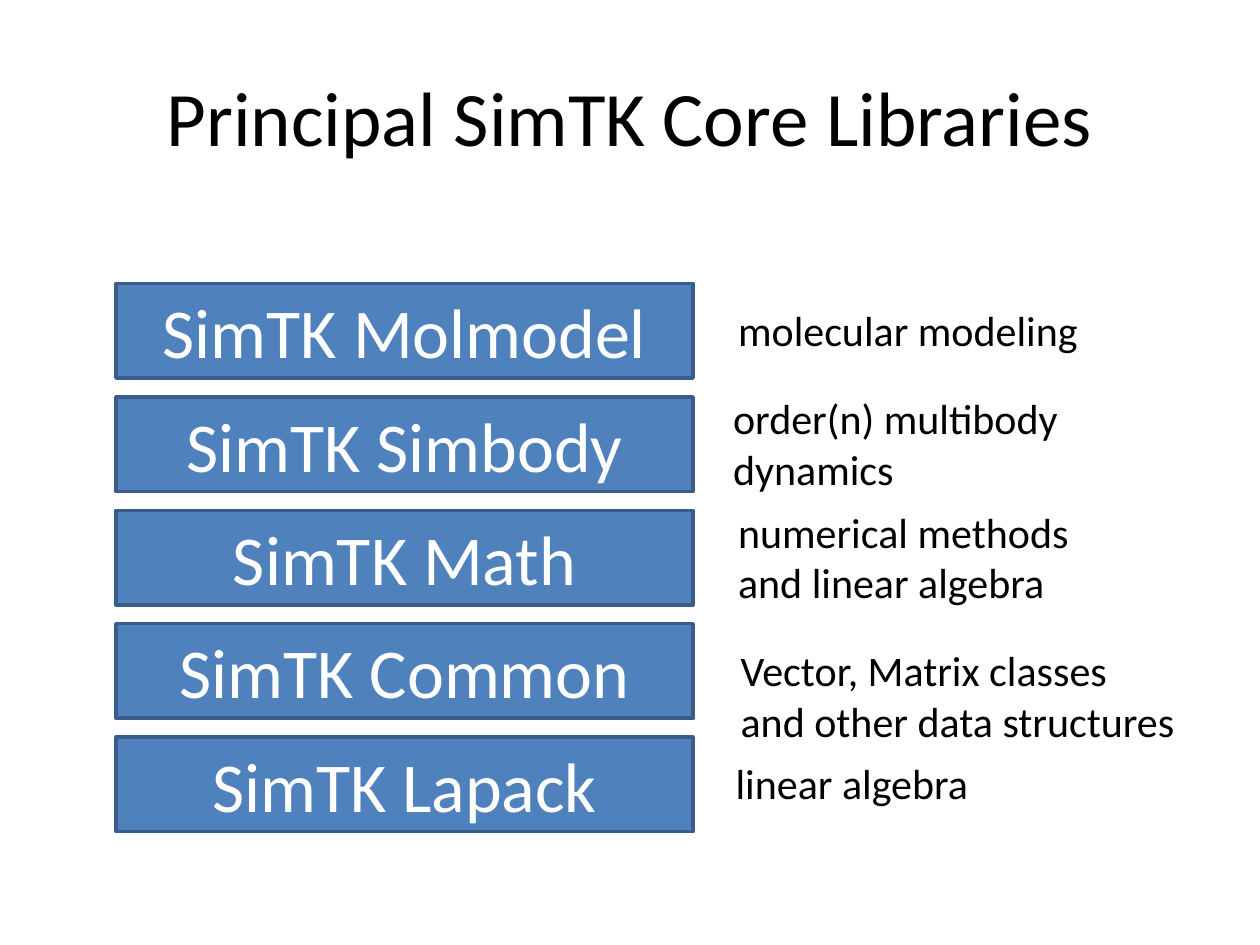
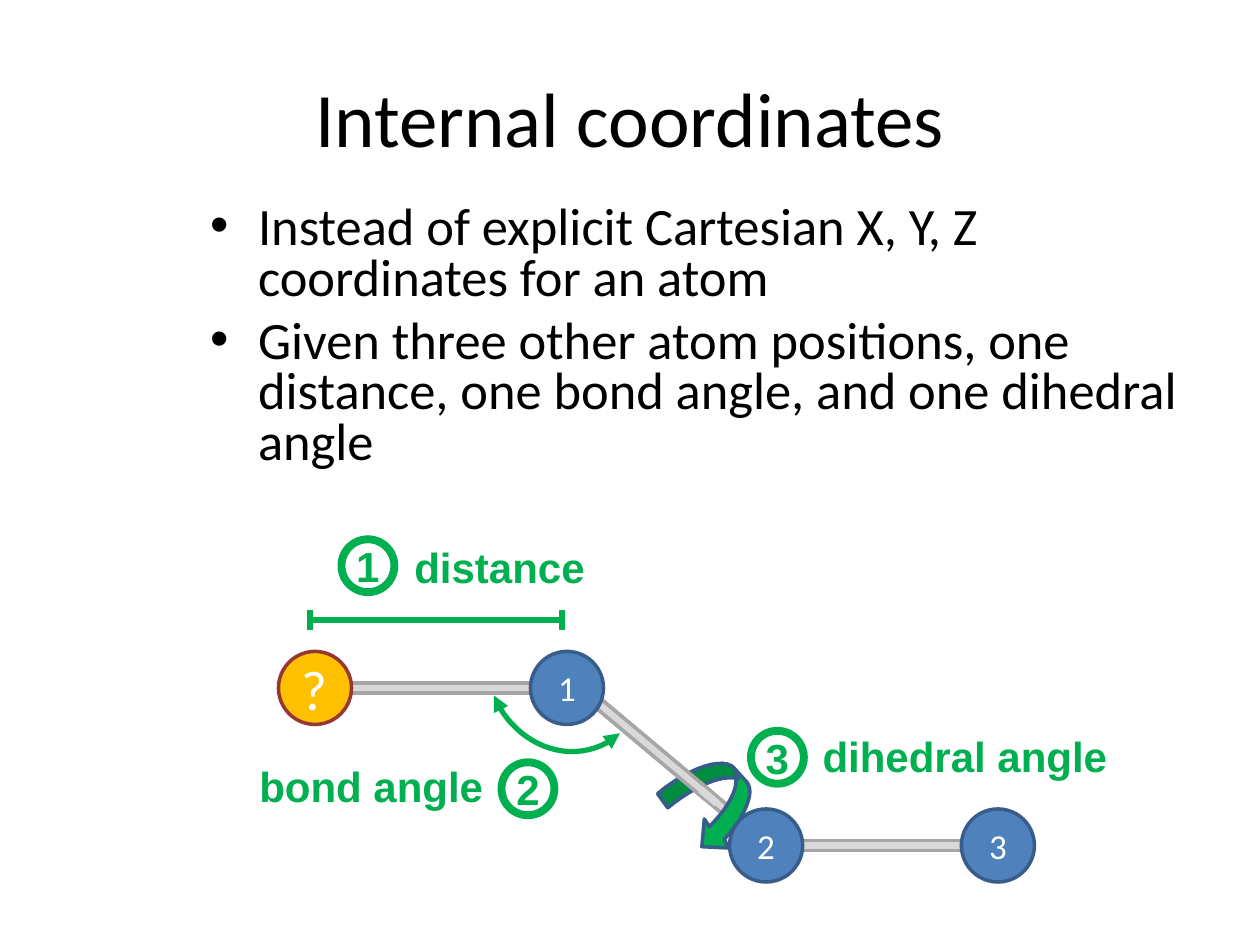
from lxml import etree
from pptx import Presentation
from pptx.dml.color import RGBColor
from pptx.enum.shapes import MSO_CONNECTOR, MSO_SHAPE
from pptx.enum.text import MSO_ANCHOR, PP_ALIGN
from pptx.oxml.ns import qn
from pptx.util import Inches, Pt

BLACK = RGBColor(0x00, 0x00, 0x00)
WHITE = RGBColor(0xFF, 0xFF, 0xFF)
BLUE = RGBColor(0x4F, 0x81, 0xBD)
NAVY = RGBColor(0x38, 0x5D, 0x8A)
GREEN = RGBColor(0x00, 0xB0, 0x50)
DARK_GREEN = RGBColor(0x00, 0x8D, 0x40)
AMBER = RGBColor(0xFF, 0xC0, 0x00)
MAROON = RGBColor(0x95, 0x37, 0x35)
LIGHT_GRAY = RGBColor(0xD9, 0xD9, 0xD9)
GRAY = RGBColor(0xA6, 0xA6, 0xA6)

ATOM_SIZE = 0.58
BADGE_SIZE = 0.42
BOND_WIDTH = 0.08


# Shared helpers
def set_font(p, size, color, name="Calibri", bold=False):
    p.font.size = Pt(size)
    p.font.name = name
    p.font.bold = bold
    p.font.color.rgb = color


def style(sp, fill, line, width=2):
    sp.shadow.inherit = False
    if fill is None:
        sp.fill.background()
    else:
        sp.fill.solid()
        sp.fill.fore_color.rgb = fill
    if line is None:
        sp.line.fill.background()
    else:
        sp.line.color.rgb = line
        sp.line.width = Pt(width)


def add_text(s, box, lines, size, color=BLACK, name="Calibri", bold=False,
             align=PP_ALIGN.LEFT, anchor=MSO_ANCHOR.TOP, wrap=False):
    tf = s.shapes.add_textbox(*map(Inches, box)).text_frame
    tf.word_wrap = wrap
    tf.vertical_anchor = anchor
    tf.text = "\n".join(lines)
    for p in tf.paragraphs:
        p.alignment = align
        set_font(p, size, color, name, bold)
    return tf


def add_title(s, text, top, anchor):
    add_text(s, (0.5, top, 9, 1.25), [text], 44, align=PP_ALIGN.CENTER,
             anchor=anchor, wrap=True)


def add_block(s, kind, box, fill, line, width=2, angle=0):
    sp = s.shapes.add_shape(kind, *map(Inches, box))
    style(sp, fill, line, width)
    sp.rotation = angle
    return sp


def write_centered(sp, text, size, color=WHITE, name="Calibri", bold=False):
    tf = sp.text_frame
    tf.margin_left = tf.margin_right = tf.margin_top = tf.margin_bottom = 0
    tf.vertical_anchor = MSO_ANCHOR.MIDDLE
    tf.word_wrap = False
    p = tf.paragraphs[0]
    p.text = text
    p.alignment = PP_ALIGN.CENTER
    set_font(p, size, color, name, bold)


# Slide 1: library stack
def add_library(s, row, name, note, note_left, note_top):
    sp = add_block(s, MSO_SHAPE.RECTANGLE, (0.92, 2.25 + 0.9 * row, 4.58, 0.75),
                   BLUE, NAVY)
    write_centered(sp, name, 40)
    height = 0.5 if len(note) == 1 else 0.9
    add_text(s, (note_left, note_top, 3.66, height), note, 24)


# Slide 2: molecule diagram
def add_bullets(s, box, items):
    tf = add_text(s, box, items, 30, wrap=True)
    for i, p in enumerate(tf.paragraphs):
        p.line_spacing = 0.8
        if i:
            p.space_before = Pt(7.5)
        pPr = p._p.get_or_add_pPr()
        pPr.set("marL", str(Inches(0.38)))
        pPr.set("indent", str(-Inches(0.38)))
        defaults = pPr.find(qn("a:defRPr"))
        defaults.addprevious(etree.Element(qn("a:buFont"), typeface="Arial"))
        defaults.addprevious(etree.Element(qn("a:buChar"), char="•"))


def add_bond(s, left, top, length, angle=0, width=BOND_WIDTH, line=GRAY):
    add_block(s, MSO_SHAPE.RECTANGLE, (left, top, length, width), LIGHT_GRAY,
              line, angle=angle)


def add_atom(s, left, top, text, size=20, fill=BLUE, line=NAVY):
    sp = add_block(s, MSO_SHAPE.OVAL, (left, top, ATOM_SIZE, ATOM_SIZE), fill, line)
    write_centered(sp, text, size)


def add_measure(s, number, left, top, label, label_box):
    sp = add_block(s, MSO_SHAPE.OVAL, (left, top, BADGE_SIZE, BADGE_SIZE),
                   None, GREEN, 4.5)
    write_centered(sp, number, 24, GREEN, "Arial", True)
    add_text(s, label_box, [label], 24, GREEN, "Arial", True)


def add_line(s, x1, y1, x2, y2):
    c = s.shapes.add_connector(MSO_CONNECTOR.STRAIGHT,
                               *map(Inches, (x1, y1, x2, y2)))
    c.line.color.rgb = GREEN
    c.line.width = Pt(3)
    etree.SubElement(c._element.spPr, qn("a:effectLst"))


def trace(start, steps, count=12):
    """Turn line (x, y) and cubic (x1, y1, x2, y2, x, y) steps into points."""
    points = [start]
    for step in steps:
        if len(step) == 2:
            points.append(step)
            continue
        ctrl = [points[-1], step[:2], step[2:4], step[4:]]
        for i in range(1, count + 1):
            t = i / count
            weights = ((1 - t) ** 3, 3 * t * (1 - t) ** 2, 3 * t * t * (1 - t), t ** 3)
            points.append(tuple(sum(w * c[k] for w, c in zip(weights, ctrl))
                                for k in (0, 1)))
    return points


def add_curve(s, start, steps, fill, line, width=2, close=True):
    points = [(Inches(x), Inches(y)) for x, y in trace(start, steps)]
    fb = s.shapes.build_freeform(*points[0])
    fb.add_line_segments(points[1:], close=close)
    sp = fb.convert_to_shape()
    style(sp, fill, line, width)
    return sp


def add_angle_arc(s):
    sp = add_curve(s, (4.92, 5.82),
                   [(4.78, 5.95, 4.57, 6, 4.37, 5.94), (4.17, 5.88, 4, 5.72, 3.92, 5.52)],
                   None, GREEN, 3, close=False)
    ln = sp.line._get_or_add_ln()
    for end in ("a:headEnd", "a:tailEnd"):
        etree.SubElement(ln, qn(end), type="triangle")


def add_twist_arrow(s):
    tail = (5.22, 6.3)
    outer = (5.47, 6.09, 5.75, 6, 5.83, 6.1)
    inner = [(5.86, 6.18), (5.73, 6.14, 5.51, 6.24, 5.3, 6.41)]
    head = [(5.93, 6.21), (5.99, 6.29, 5.92, 6.47, 5.75, 6.66), (5.78, 6.73),
            (5.57, 6.72), (5.59, 6.5), (5.63, 6.56),
            (5.77, 6.42, 5.85, 6.28, 5.84, 6.18)]
    add_curve(s, tail, [outer, *head, *inner], GREEN, NAVY)
    add_curve(s, tail, [outer, *inner], DARK_GREEN, NAVY)


def build_libraries(s):
    libraries = [
        ("SimTK Molmodel", ["molecular modeling"], 5.76, 2.37),
        ("SimTK Simbody", ["order(n) multibody", "dynamics"], 5.72, 3.07),
        ("SimTK Math", ["numerical methods", "and linear algebra"], 5.76, 3.97),
        ("SimTK Common", ["Vector, Matrix classes", "and other data structures"],
         5.78, 5.07),
        ("SimTK Lapack", ["linear algebra"], 5.74, 5.96),
    ]
    for row, library in enumerate(libraries):
        add_library(s, row, *library)
    add_title(s, "Principal SimTK Core Libraries", 0.5, MSO_ANCHOR.TOP)


def build_coordinates(s):
    add_bond(s, 4.33, 6.03, 2, 40)
    add_bond(s, 6.04, 6.67, 2)
    add_bond(s, 2.46, 5.42, 2)
    add_title(s, "Internal coordinates", 0.3, MSO_ANCHOR.MIDDLE)
    add_bullets(s, (1.57, 1.58, 8.2, 2.42), [
        "Instead of explicit Cartesian X, Y, Z coordinates for an atom",
        "Given three other atom positions, one distance, one bond angle, "
        "and one dihedral angle",
    ])
    add_atom(s, 2.21, 5.17, "?", 32, AMBER, MAROON)
    add_atom(s, 5.79, 6.42, "2")
    add_atom(s, 7.63, 6.42, "3")

    # Distance gauge
    add_line(s, 2.46, 4.92, 4.46, 4.92)
    for x in (2.46, 4.46):
        add_line(s, x, 4.84, x, 5)

    # Angles, with the front half of the bond passing over the twist arrow
    add_angle_arc(s)
    add_twist_arrow(s)
    add_bond(s, 4.59, 5.9, 1.17, 40)
    add_atom(s, 4.21, 5.17, "1")
    add_bond(s, 5.54, 6.29, 0.17, 40, 0.06, None)

    # Numbered measures
    add_measure(s, "1", 2.71, 4.28, "distance", (3.19, 4.25, 1.7, 0.5))
    add_measure(s, "2", 3.98, 6.05, "bond angle", (1.96, 5.99, 2, 0.5))
    add_measure(s, "3", 5.96, 5.8, "dihedral angle", (6.43, 5.75, 2.6, 0.5))


def main():
    prs = Presentation()
    prs.slide_width, prs.slide_height = Inches(10), Inches(7.5)
    for build in (build_libraries, build_coordinates):
        build(prs.slides.add_slide(prs.slide_layouts[6]))
    prs.save("out.pptx")


if __name__ == "__main__":
    main()
